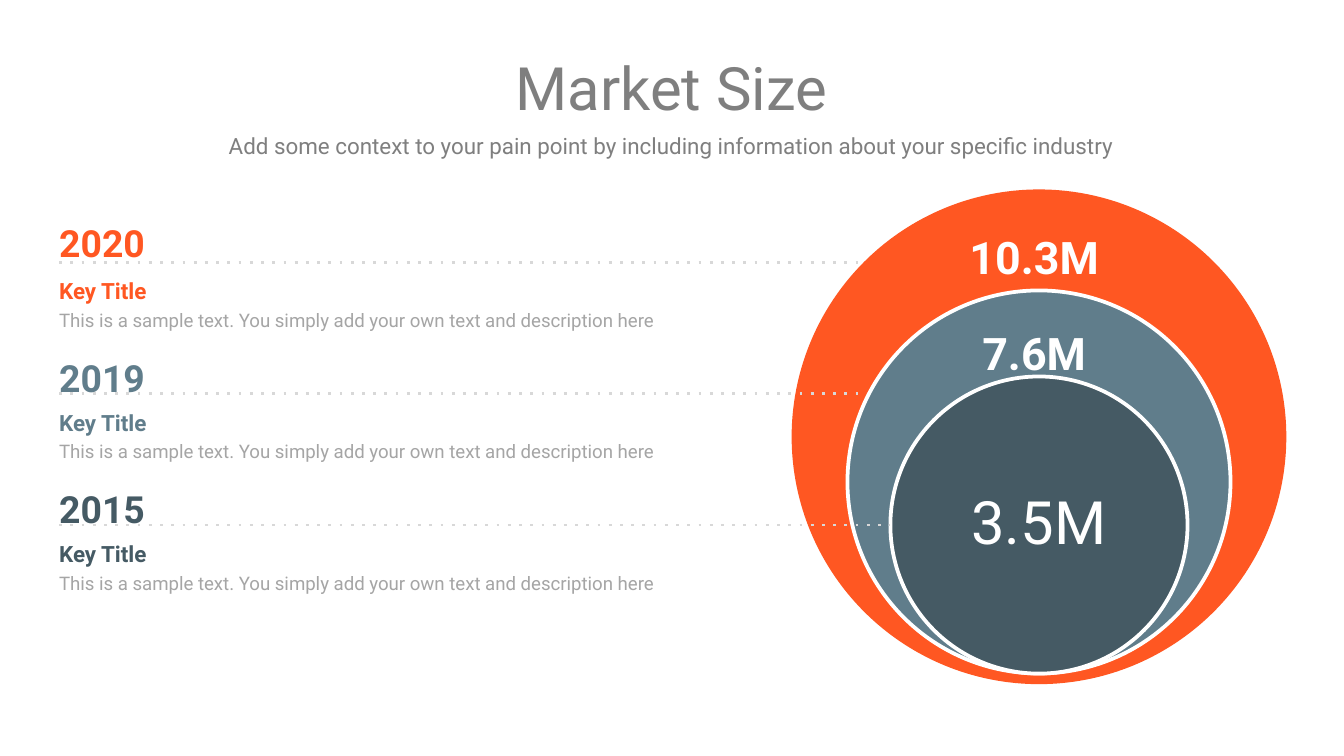
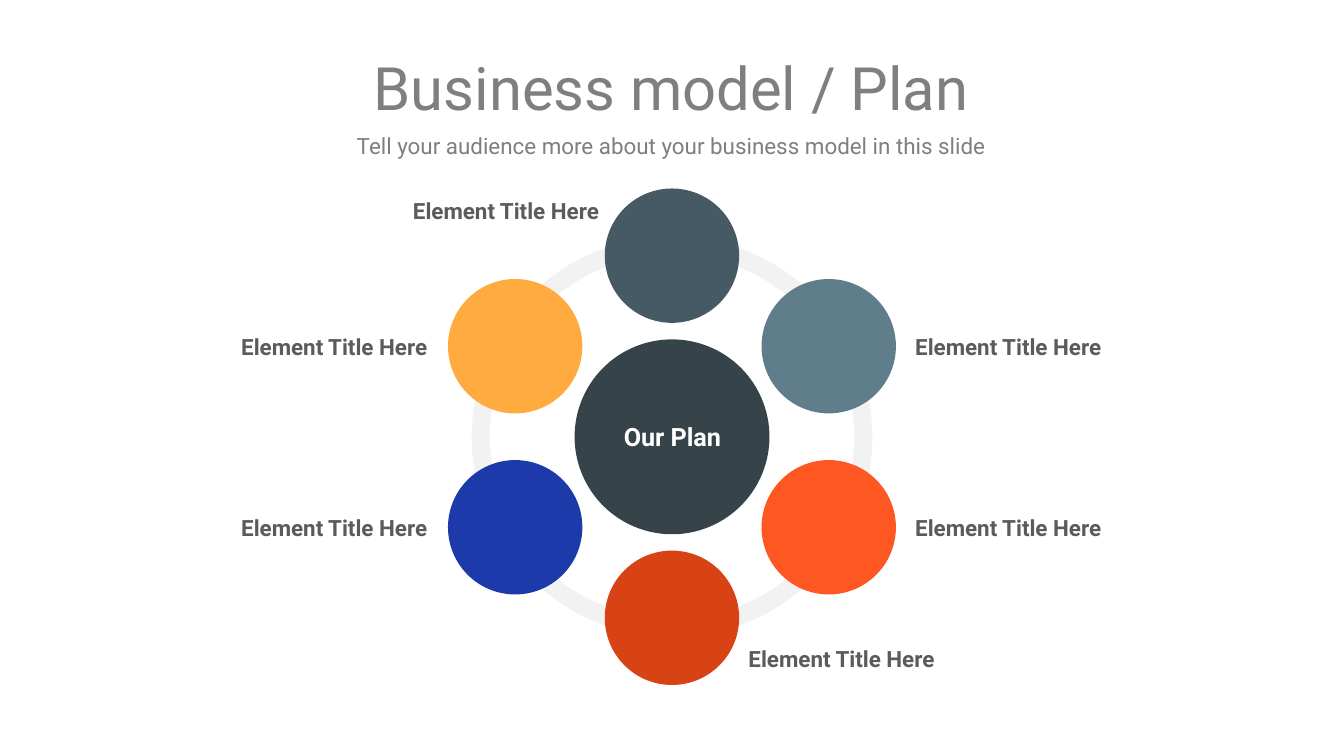
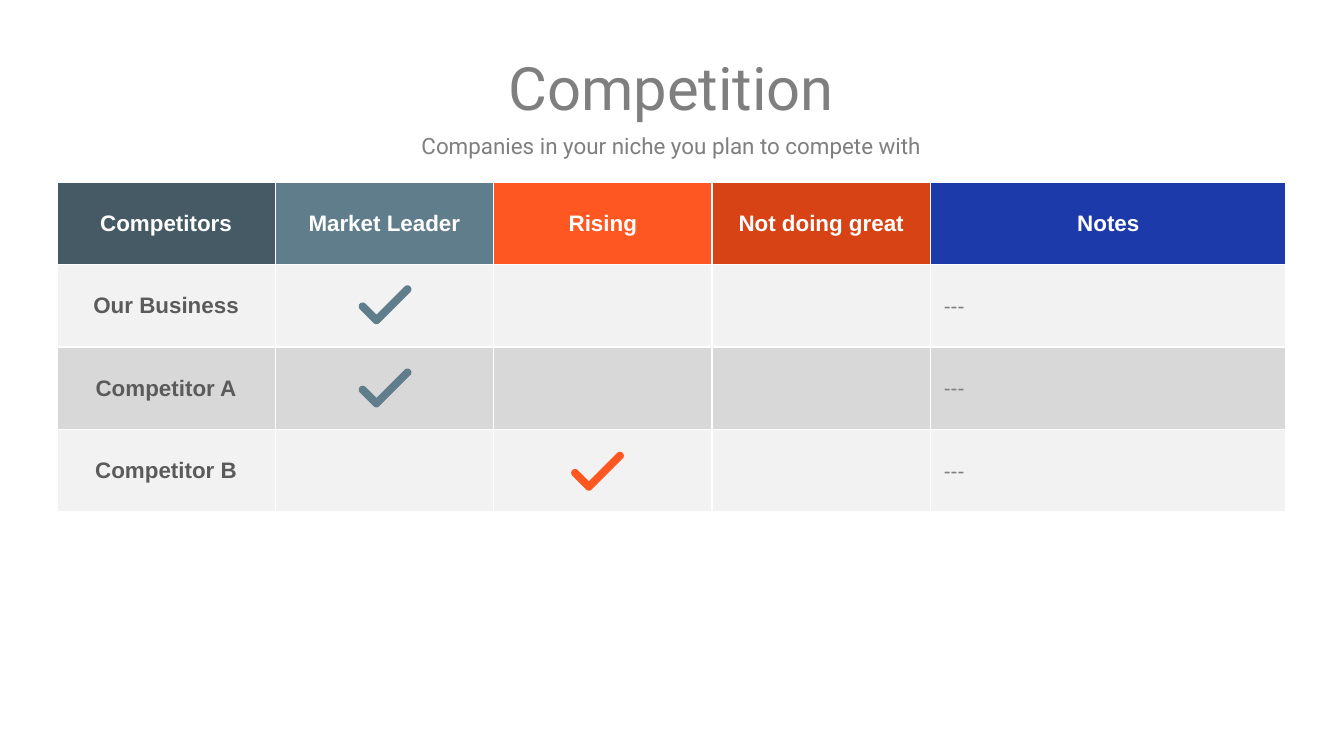
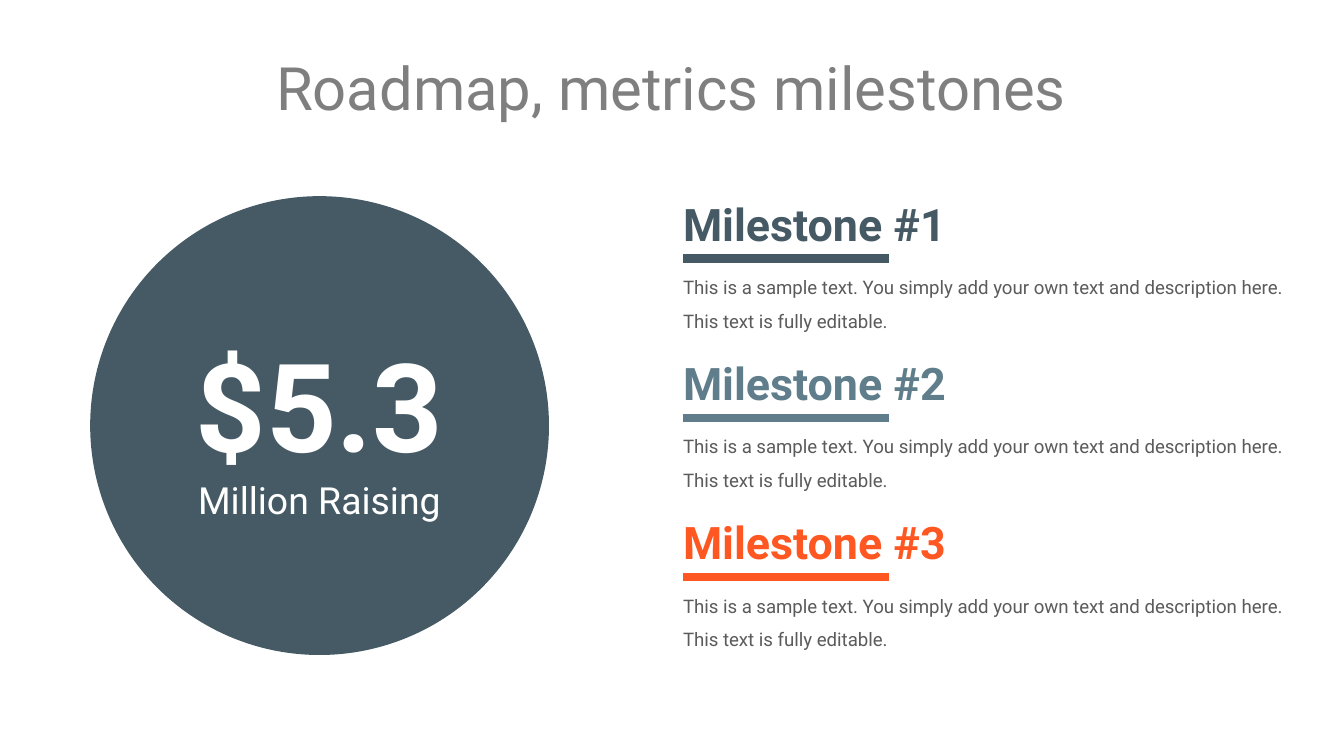
"""Build four pitch slides: market size, plan, competition and milestones."""
import math
from dataclasses import dataclass

from lxml import etree
from pptx import Presentation
from pptx import util as u
from pptx.dml import color
from pptx.enum import shapes, text
from pptx.oxml import ns


@dataclass(frozen=True)
class Theme:
    """Colours, fonts and type sizes shared by all slides."""
    slate: str = "455A64"
    steel: str = "607D8B"
    orange: str = "FF5722"
    rust: str = "D84315"
    blue: str = "1C3AA9"
    amber: str = "FFAB40"
    dark: str = "364349"
    white: str = "FFFFFF"
    light: str = "F2F2F2"
    band: str = "D8D8D8"
    heading: str = "7F7F7F"
    body: str = "5B5B5B"
    pale: str = "A5A5A5"
    font: str = "Roboto"
    table_font: str = "Arial"
    title_size: float = 32
    huge_size: float = 66
    large_size: float = 24
    year_size: float = 20
    hub_size: float = 13.5
    label_size: float = 12
    note_size: float = 11
    small_size: float = 10


THEME = Theme()
LEFT, CENTER, RIGHT = text.PP_ALIGN.LEFT, text.PP_ALIGN.CENTER, text.PP_ALIGN.RIGHT
TOP, MIDDLE = text.MSO_ANCHOR.TOP, text.MSO_ANCHOR.MIDDLE
SAMPLE = "This is a sample text. You simply add your own text and description here"
MARGIN, CONTENT_WIDTH = 30.3, 658.8


def rgb(value):
    """Turn a hex string into a colour."""
    return color.RGBColor.from_string(value)


def points(*lengths):
    """Convert lengths in points to slide units."""
    return [u.Pt(length) for length in lengths]


def add_run(paragraph, words, size, fill, bold=False, font=THEME.font):
    """Append one formatted run."""
    run = paragraph.add_run()
    run.text = words
    run.font.name = font
    run.font.size = u.Pt(size)
    run.font.bold = bold
    run.font.color.rgb = rgb(fill)


def format_frame(frame, anchor=MIDDLE, insets=(0, 0, 0, 0)):
    """Set wrapping, anchor and insets of a text frame."""
    frame.word_wrap = True
    frame.auto_size = text.MSO_AUTO_SIZE.NONE
    frame.vertical_anchor = anchor
    (frame.margin_left, frame.margin_top,
     frame.margin_right, frame.margin_bottom) = points(*insets)


def write(frame, lines, align=LEFT, spacing=1.0):
    """Write one paragraph for each (words, size, colour, bold) line."""
    for index, line in enumerate(lines):
        paragraph = frame.add_paragraph() if index else frame.paragraphs[0]
        paragraph.alignment = align
        paragraph.line_spacing = spacing
        add_run(paragraph, *line)


def add_text(slide, box, lines, align=LEFT, spacing=1.0, anchor=MIDDLE, insets=(0, 0, 0, 0)):
    """Add a text box."""
    frame = slide.shapes.add_textbox(*points(*box)).text_frame
    format_frame(frame, anchor, insets)
    write(frame, lines, align, spacing)


def paint(shape, fill, outline=None):
    """Give a shape a flat fill and an optional outline."""
    shape.shadow.inherit = False
    shape.fill.solid()
    shape.fill.fore_color.rgb = rgb(fill)
    if outline:
        shape.line.color.rgb = rgb(outline)
        shape.line.width = u.Pt(2)
    else:
        shape.line.fill.background()


def add_circle(slide, center_x, center_y, size, fill, outline=None,
               preset=shapes.MSO_SHAPE.OVAL):
    """Add a round shape about its centre."""
    box = points(center_x - size / 2, center_y - size / 2, size, size)
    circle = slide.shapes.add_shape(preset, *box)
    paint(circle, fill, outline)
    return circle


def add_rule(slide, left, right, y, fill, width, dash=None):
    """Add a horizontal line, dashed when a preset dash is named."""
    rule = slide.shapes.add_connector(
        shapes.MSO_CONNECTOR.STRAIGHT, *points(left, y, right, y))
    rule.line.color.rgb = rgb(fill)
    rule.line.width = u.Pt(width)
    properties = rule.element.spPr
    if dash:
        outline = properties.find(ns.qn("a:ln"))
        etree.SubElement(outline, ns.qn("a:prstDash")).set("val", dash)
    etree.SubElement(properties, ns.qn("a:effectLst"))


def add_check(slide, left, top, fill, radius=2.1):
    """Add a check mark with rounded ends."""
    tail, corner, tip = (2.1, 11.4), (9.5, 18.8), (26.1, 2.2)
    outline = [(corner[0], corner[1] - radius * math.sqrt(2))]
    for (x, y), start, end in ((tip, -135, 45), (corner, 45, 135), (tail, 135, 315)):
        for angle in range(start, end + 1, 15):
            turn = math.radians(angle)
            outline.append((x + radius * math.cos(turn), y + radius * math.sin(turn)))
    vertices = [points(left + x, top + y) for x, y in outline]
    builder = slide.shapes.build_freeform(*vertices[0])
    builder.add_line_segments(vertices[1:], close=True)
    paint(builder.convert_to_shape(), fill)


def add_slide(presentation, title, subtitle=None):
    """Add a slide with its title and optional subtitle."""
    slide = presentation.slides.add_slide(presentation.slide_layouts[5])
    holder = slide.shapes.title
    holder.left, holder.top, holder.width, holder.height = points(
        MARGIN, 26.8, CONTENT_WIDTH, 39)
    format_frame(holder.text_frame)
    write(holder.text_frame, [(title, THEME.title_size, THEME.heading)], CENTER)
    if subtitle:
        add_text(slide, (MARGIN, 70, CONTENT_WIDTH, 13.7),
                 [(subtitle, THEME.label_size, THEME.heading)], CENTER, 1.15)
    return slide


def style_cell(cell, fill):
    """Fill a cell and give it thin white borders."""
    cell.fill.solid()
    cell.fill.fore_color.rgb = rgb(fill)
    cell.vertical_anchor = MIDDLE
    cell.margin_left, cell.margin_right, cell.margin_top, cell.margin_bottom = points(
        7.2, 7.2, 0, 0)
    properties = cell._tc.get_or_add_tcPr()
    for index, side in enumerate(("lnL", "lnR", "lnT", "lnB")):
        border = etree.Element(ns.qn(f"a:{side}"), w=str(u.Pt(1)))
        solid = etree.SubElement(border, ns.qn("a:solidFill"))
        etree.SubElement(solid, ns.qn("a:srgbClr")).set("val", THEME.white)
        properties.insert(index, border)


def build_market(presentation):
    """Build the nested market circles with their years."""
    slide = add_slide(
        presentation, "Market Size",
        "Add some context to your pain point by including information "
        "about your specific industry")
    center_x = 556.6
    add_circle(slide, center_x, 234, 265, THEME.orange)
    add_circle(slide, center_x, 258.2, 205.2, THEME.steel, THEME.white)
    inner = add_circle(slide, center_x, 281.3, 159.2, THEME.slate, THEME.white)
    format_frame(inner.text_frame)
    write(inner.text_frame, [("3.5M", THEME.title_size, THEME.white)], CENTER, 0.9)
    for amount, top in (("10.3M", 115.9), ("7.6M", 167)):
        add_text(slide, (487.4, top, 133.2, 34.6),
                 [(amount, THEME.large_size, THEME.white, True)], CENTER, 1.3)

    left = 31.7
    years = (("2020", THEME.orange, 28.8, 462.2),
             ("2019", THEME.steel, 26.6, 462.2),
             ("2015", THEME.slate, 26.6, 477))
    for index, (year, fill, lift, line_end) in enumerate(years):
        y = 140.5 + 70.4 * index
        add_text(slide, (left, y - lift, 133.2, 28.8),
                 [(year, THEME.year_size, fill, True)], spacing=1.3)
        add_rule(slide, left, line_end, y, THEME.band, 1.5, "dot")
        add_text(slide, (left, y + 1.7, 369.4, 38.2),
                 [("Key Title", THEME.label_size, fill, True),
                  (SAMPLE, THEME.small_size, THEME.pale)],
                 spacing=1.2, anchor=TOP, insets=(0, 3.6, 7.2, 3.6))


def build_plan(presentation):
    """Build the ring of six elements about the plan."""
    slide = add_slide(presentation, "Business model / Plan",
                      "Tell your audience more about your business model in this slide")
    center_x, center_y, orbit = 360, 234, 97
    add_circle(slide, center_x, center_y, 104.4, THEME.dark)
    ring = add_circle(slide, center_x, center_y, 214.6, THEME.light,
                      preset=shapes.MSO_SHAPE.DONUT)
    ring.adjustments[0] = 0.045
    label_width, label_height = 137.6, 13.8
    elements = ((THEME.slate, RIGHT, 39, -24.2), (THEME.steel, LEFT, 46.3, 0),
                (THEME.orange, LEFT, 46.3, 0), (THEME.rust, LEFT, 41, 21.8),
                (THEME.blue, RIGHT, 47, 0), (THEME.amber, RIGHT, 47, 0))
    for index, (fill, align, gap, shift) in enumerate(elements):
        angle = math.radians(60 * index)
        x = center_x + orbit * math.sin(angle)
        y = center_y - orbit * math.cos(angle)
        add_circle(slide, x, y, 72, fill)
        left = x + gap if align == LEFT else x - gap - label_width
        add_text(slide, (left, y + shift - label_height / 2, label_width, label_height),
                 [("Element Title Here", THEME.label_size, THEME.body, True)], align)
    add_text(slide, (323, 207.6, 74.4, 52.6),
             [("Our Plan", THEME.hub_size, THEME.white, True)], CENTER,
             insets=(7.2, 3.6, 7.2, 3.6))


def build_competition(presentation):
    """Build the table of competitors with its check marks."""
    slide = add_slide(presentation, "Competition",
                      "Companies in your niche you plan to compete with")
    headers = (("Competitors", THEME.slate), ("Market Leader", THEME.steel),
               ("Rising", THEME.orange), ("Not doing great", THEME.rust),
               ("Notes", THEME.blue))
    names = ("Our Business", "Competitor A", "Competitor B")
    row_height = 44.2
    widths = [117] * 4 + [190.6]
    table = slide.shapes.add_table(
        len(names) + 1, len(headers),
        *points(30.5, 97.6, sum(widths), row_height * (len(names) + 1))).table
    table.first_row = table.horz_banding = False
    for column, width in zip(table.columns, widths):
        column.width = u.Pt(width)
    for row in table.rows:
        row.height = u.Pt(row_height)

    def fill_cell(row, column, fill, line=None, align=CENTER):
        """Style one cell and write its line."""
        cell = table.cell(row, column)
        style_cell(cell, fill)
        if line:
            write(cell.text_frame, [(*line, THEME.table_font)], align)

    for column, (header, fill) in enumerate(headers):
        fill_cell(0, column, fill, (header, THEME.label_size, THEME.white, True))
    for row, name in enumerate(names, 1):
        fill = THEME.light if row % 2 else THEME.band
        fill_cell(row, 0, fill, (name, THEME.label_size, THEME.body, True))
        for column in range(1, 4):
            fill_cell(row, column, fill)
        fill_cell(row, 4, fill, ("---", THEME.note_size, THEME.heading, False), LEFT)

    checks = ((192.2, THEME.steel), (192.2, THEME.steel), (306, THEME.orange))
    for index, (left, fill) in enumerate(checks):
        add_check(slide, left, 152.8 + 44.6 * index, fill)


def build_milestones(presentation):
    """Build the raised amount and the three milestones."""
    slide = add_slide(presentation, "Roadmap, metrics milestones")
    circle = add_circle(slide, 171.2, 228, 245.8, THEME.slate)
    format_frame(circle.text_frame, insets=(5, 2.9, 5, 2.9))
    paragraph = circle.text_frame.paragraphs[0]
    paragraph.alignment = CENTER
    add_run(paragraph, "$5.3", THEME.huge_size, THEME.white, True)
    paragraph.add_line_break()
    add_run(paragraph, "Million Raising", THEME.year_size, THEME.white)

    left, width = 365.9, 323.3
    for index, fill in enumerate((THEME.slate, THEME.steel, THEME.orange)):
        top = 105.2 + 85.3 * index
        add_text(slide, (left, top, width, 28.8),
                 [(f"Milestone #{index + 1}", THEME.large_size, fill, True)])
        add_rule(slide, left, 476.3, top + 33.3, fill, 4.5)
        add_text(slide, (left, top + 36.7, width, 34.6),
                 [(f"{SAMPLE}. This text is fully editable.",
                   THEME.small_size, THEME.body)], spacing=1.5, anchor=TOP)


def main():
    """Build and save the presentation."""
    presentation = Presentation()
    presentation.slide_width, presentation.slide_height = points(720, 405)
    build_market(presentation)
    build_plan(presentation)
    build_competition(presentation)
    build_milestones(presentation)
    presentation.save("out.pptx")


if __name__ == "__main__":
    main()
